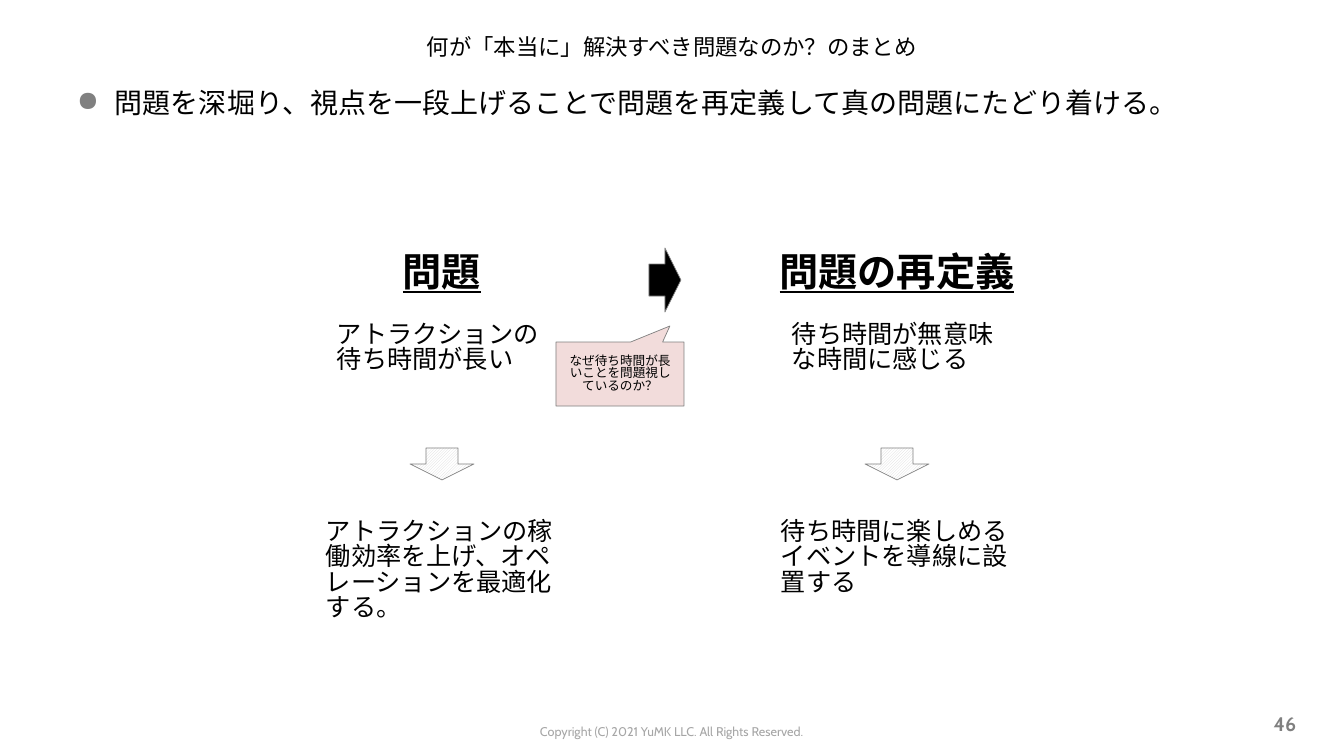
from lxml.etree import SubElement
from pptx import Presentation
from pptx.dml.color import RGBColor
from pptx.enum.dml import MSO_PATTERN
from pptx.enum.shapes import MSO_SHAPE
from pptx.enum.text import MSO_ANCHOR, PP_ALIGN
from pptx.oxml.ns import qn
from pptx.util import Pt

PX = 914400 / 100.8
COLORS = {
    "text": "000000",
    "muted": "808080",
    "copyright": "A6A6A6",
    "hatch": "D9D9D9",
    "paper": "FFFFFF",
    "callout": "F2DCDB",
}
JAPANESE, LATIN = "Noto Sans CJK JP", "Cabin"
COLUMNS = [
    (442, "問題", "アトラクションの待ち時間が長い",
     "アトラクションの稼働効率を上げ、オペレーションを最適化する。"),
    (897, "問題の再定義", "待ち時間が無意味な時間に感じる",
     "待ち時間に楽しめるイベントを導線に設置する"),
]


def emu(*lengths):
    """Turn px lengths into EMU."""
    return [round(length * PX) for length in lengths]


def rgb(key):
    """Look up a palette colour."""
    return RGBColor.from_string(COLORS[key])


def write(holder, words, size, align=PP_ALIGN.LEFT, color="text", face=JAPANESE,
          anchor=MSO_ANCHOR.TOP, wrap=True, bold=False, underline=False):
    """Put one formatted paragraph into a shape and return it."""
    frame = holder.text_frame
    frame.text = words
    frame.word_wrap = wrap
    frame.vertical_anchor = anchor
    paragraph = frame.paragraphs[0]
    paragraph.alignment = align
    if face == JAPANESE:
        paragraph.line_spacing = 0.84
    run = paragraph.runs[0]
    font = run.font
    font.name, font.size = face, Pt(size)
    font.bold, font.underline = bold, underline
    font.color.rgb = rgb(color)
    SubElement(font._element, qn("a:ea"), typeface=face)
    return paragraph


def add_label(slide, box, words, size, **style):
    """Add a text box holding one paragraph."""
    return write(slide.shapes.add_textbox(*emu(*box)), words, size, **style)


def add_bullet(paragraph, indent):
    """Give a paragraph a grey round bullet and a hanging indent."""
    properties = paragraph._p.get_or_add_pPr()
    (hang,) = emu(indent)
    properties.set("marL", str(hang))
    properties.set("indent", str(-hang))
    tint = SubElement(properties, qn("a:buClr"))
    SubElement(tint, qn("a:srgbClr"), val=COLORS["muted"])
    SubElement(properties, qn("a:buChar"), char="●")


def add_outlined(slide, kind, box, fill=None):
    """Add a thin-outlined shape, hatched unless a fill is named."""
    figure = slide.shapes.add_shape(kind, *emu(*box))
    figure.shadow.inherit = False
    figure.line.color.rgb = rgb("muted")
    figure.line.width = Pt(0.5)
    if fill:
        figure.fill.solid()
        figure.fill.fore_color.rgb = rgb(fill)
    else:
        figure.fill.patterned()
        figure.fill.pattern = MSO_PATTERN.LIGHT_UPWARD_DIAGONAL
        figure.fill.fore_color.rgb = rgb("hatch")
        figure.fill.back_color.rgb = rgb("paper")
    return figure


def add_column(slide, center, heading, issue, remedy):
    """Add a heading, an issue, a down arrow and a remedy on one axis."""
    add_label(slide, (center - 131, 250, 262, 57), heading, 28, wrap=False,
              align=PP_ALIGN.CENTER, bold=True, underline=True)
    add_label(slide, (center - 115, 318, 230, 72), issue, 18)
    add_outlined(slide, MSO_SHAPE.DOWN_ARROW, (center - 32, 448, 64, 32))
    add_label(slide, (center - 126, 515, 250, 132), remedy, 18)


def main():
    """Build the summary slide."""
    deck = Presentation()
    deck.slide_width, deck.slide_height = emu(1344, 756)
    slide = deck.slides.add_slide(deck.slide_layouts[6])

    add_label(slide, (423, 719, 497, 25),
              "Copyright (C) 2021 YuMK LLC. All Rights Reserved.", 9,
              align=PP_ALIGN.CENTER, color="copyright", face=LATIN)
    add_label(slide, (67, 22, 1210, 54), "何が「本当に」解決すべき問題なのか？のまとめ",
              16, align=PP_ALIGN.CENTER, anchor=MSO_ANCHOR.MIDDLE)
    message = add_label(
        slide, (67, 86, 1210, 584),
        "問題を深堀り、視点を一段上げることで問題を再定義して真の問題にたどり着ける。", 20)
    add_bullet(message, 38)
    add_label(slide, (993, 704, 313, 40), "46", 14, align=PP_ALIGN.RIGHT,
              color="muted", face=LATIN, anchor=MSO_ANCHOR.MIDDLE, bold=True)

    for column in COLUMNS:
        add_column(slide, *column)

    redefine_arrow = add_outlined(slide, MSO_SHAPE.DOWN_ARROW, (633, 264, 64, 32), "text")
    redefine_arrow.rotation = 270
    question = add_outlined(slide, MSO_SHAPE.RECTANGULAR_CALLOUT,
                            (556, 342, 128, 64), "callout")
    question.adjustments[0], question.adjustments[1] = 0.39, -0.75
    write(question, "なぜ待ち時間が長いことを問題視しているのか？", 9,
          align=PP_ALIGN.CENTER, anchor=MSO_ANCHOR.MIDDLE)

    deck.save("out.pptx")


if __name__ == "__main__":
    main()
